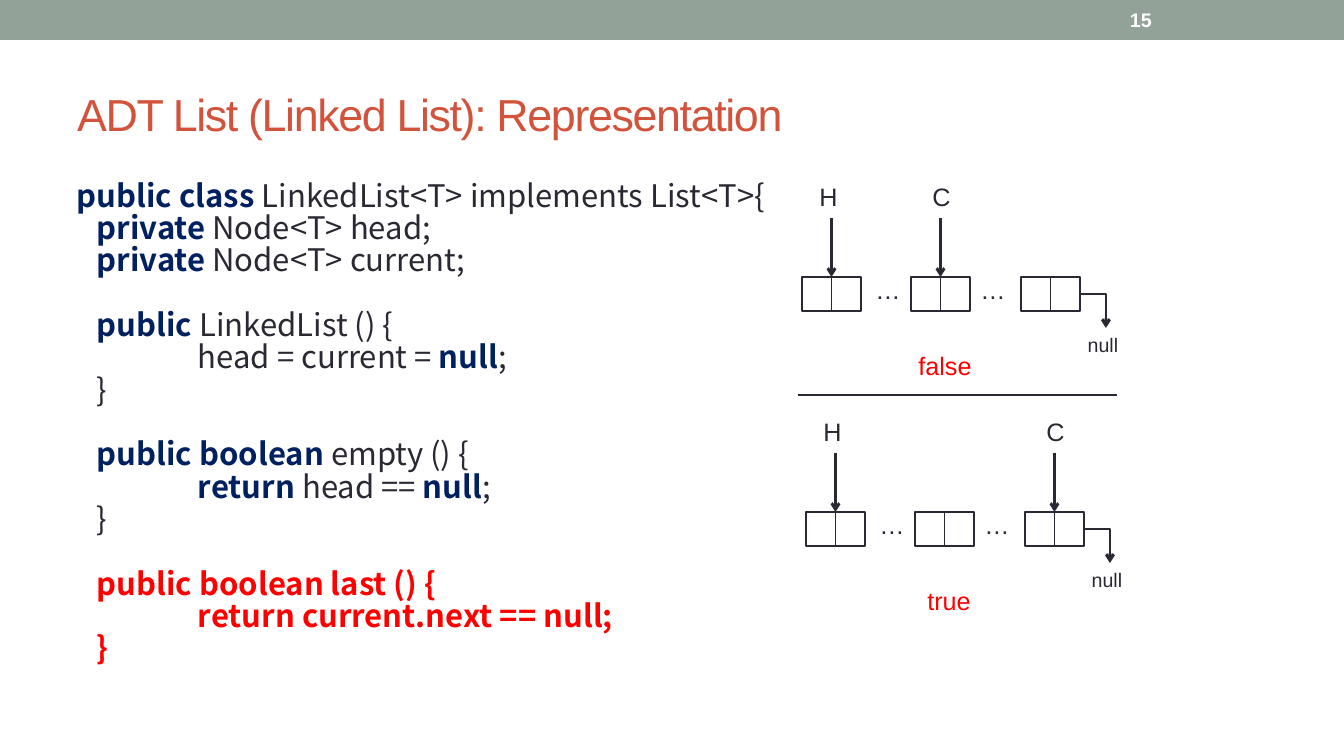
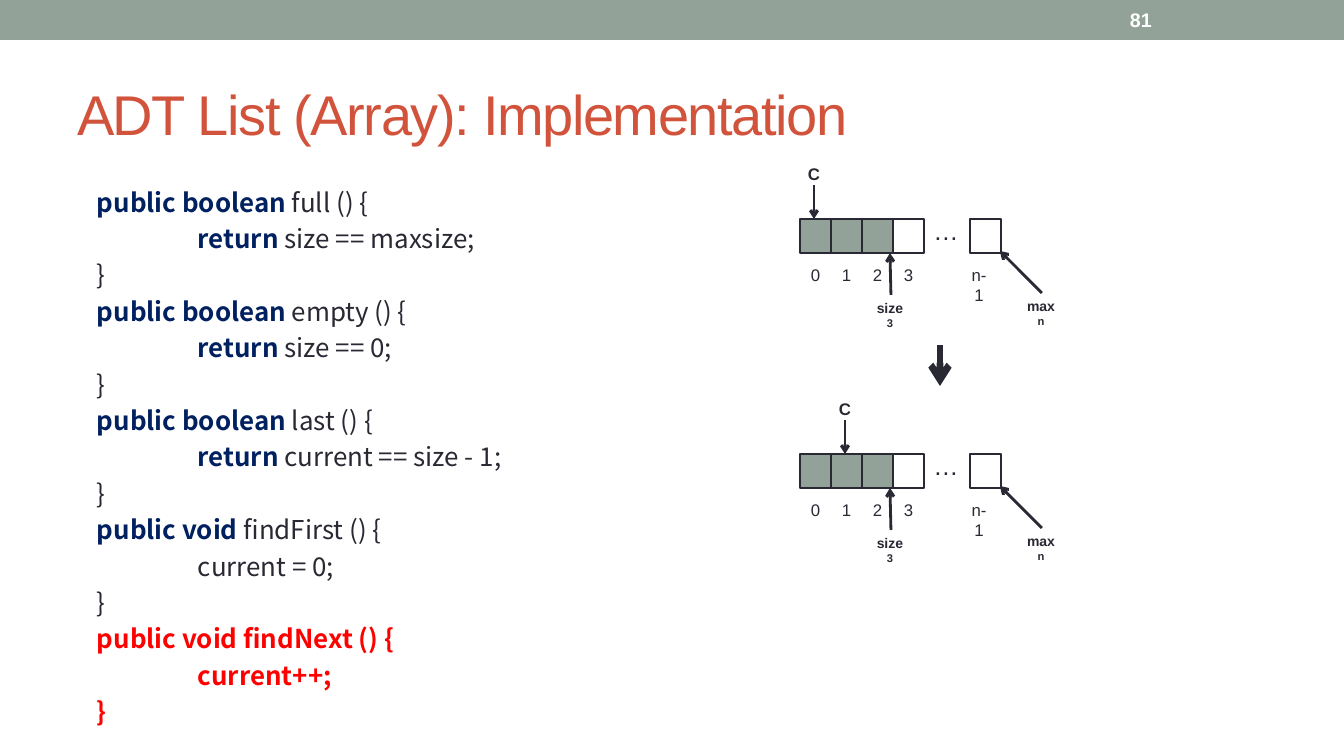
"""Builds two lecture slides on the List ADT: code beside memory diagrams."""
from lxml.etree import SubElement
from pptx import Presentation
from pptx.dml.color import RGBColor as RGB
from pptx.enum.shapes import MSO_CONNECTOR as LINK, MSO_SHAPE as SHAPE
from pptx.enum.text import MSO_ANCHOR as ANCHOR, PP_ALIGN as ALIGN
from pptx.oxml.ns import qn
from pptx.util import Emu, Pt

SAGE = RGB(0x93, 0xA2, 0x99)
RUST = RGB(0xD2, 0x53, 0x3C)
NAVY = RGB(0x00, 0x20, 0x60)
INK = RGB(0x29, 0x29, 0x34)
RED = RGB(0xFF, 0x00, 0x00)
WHITE = RGB(0xFF, 0xFF, 0xFF)
SANS, CODE = "Arial", "Noto Sans CJK SC"
WIDE, HIGH = 1344, 756
INDENT = (0, 20, 121)


def method(head, body):
    """Gives the lines of one method, each with its level."""
    return [(1, head + " () {"), (2, body), (1, "}")]


# Asterisks enclose keywords.
LINKED = [
    [(0, "*public class *LinkedList<T> implements List<T>{"),
     (1, "*private* Node<T> head;"),
     (1, "*private* Node<T> current;")],
    method("*public *LinkedList", "head = current = *null*;"),
    method("*public boolean *empty", "*return *head == *null*;"),
    method("public boolean last", "return current.next == null;"),
]
ARRAY = [
    method("*public boolean *full", "*return* size == maxsize;"),
    method("*public boolean *empty", "*return* size == 0;"),
    method("*public boolean *last", "*return* current == size - 1;"),
    method("*public void *findFirst", "current = 0;"),
    method("public void findNext", "current++;"),
]
CHAINS = [(802, 277, 1, "false"), (806, 512, 2, "true")]
STRIPS = [(219, 0), (454, 1)]
NODES = (0, 109, 219)
NODE_W, CELL_W, BOX_H = 59, 31, 34
FILLED, LAST_X = 3, 970


def px(n):
    return Emu(round(n * 914400 / 100.8))


def place(*box):
    return [px(n) for n in box]


def style(font, size, color, bold=False, name=SANS):
    font.size, font.name, font.bold = Pt(size), name, bold
    font.color.rgb = color


def rect(slide, box, fill, edge=INK):
    shape = slide.shapes.add_shape(SHAPE.RECTANGLE, *place(*box))
    shape.shadow.inherit = False
    shape.fill.solid()
    shape.fill.fore_color.rgb = fill
    if edge is None:
        shape.line.fill.background()
    else:
        shape.line.color.rgb = edge
        shape.line.width = Pt(1.25)


def line(slide, ends, width=0.75, head=False, bent=False):
    kind = LINK.ELBOW if bent else LINK.STRAIGHT
    link = slide.shapes.add_connector(kind, *place(*ends))
    link.line.color.rgb = INK
    link.line.width = Pt(width)
    props = link._element.spPr
    if bent:
        props.find(qn("a:prstGeom")).set("prst", "bentConnector2")
    if head:
        SubElement(props.find(qn("a:ln")), qn("a:tailEnd"), type="arrow")
    SubElement(props, qn("a:effectLst"))


def arrow(slide, *ends, width=2, bent=False):
    line(slide, ends, width, True, bent)


def label(slide, mid, top, width, rows, color=INK, bold=False):
    """Centres rows of (text, size) on mid."""
    high = 10 + sum(size for _, size in rows) * 1.68
    box = slide.shapes.add_textbox(*place(mid - width / 2, top, width, high))
    frame = box.text_frame
    frame.word_wrap = False
    for i, (text, size) in enumerate(rows):
        para = frame.add_paragraph() if i else frame.paragraphs[0]
        para.text, para.alignment = text, ALIGN.CENTER
        style(para.font, size, color, bold)


def base(deck, title, size, number):
    """Adds a slide with its band, title and number."""
    slide = deck.slides.add_slide(deck.slide_layouts[5])
    rect(slide, (0, 0, WIDE, 40), SAGE, None)
    head = slide.shapes.title
    head.left, head.top, head.width, head.height = place(67, 59, 1210, 109)
    page = slide.shapes.add_textbox(*place(1120, 2, 157, 36))
    for shape, text in ((head, title), (page, number)):
        frame = shape.text_frame
        frame.word_wrap, frame.vertical_anchor = True, ANCHOR.MIDDLE
        frame.text = text
        frame.paragraphs[0].alignment = ALIGN.LEFT
    para = head.text_frame.paragraphs[0]
    style(para.font, size, RUST)
    para.runs[0]._r.get_or_add_rPr().set("spc", "-100")
    style(page.text_frame.paragraphs[0].font, 14, WHITE, True)
    return slide


def code(slide, blocks, size, pitch, gap=0):
    """Writes blocks of code; the last one is new and red."""
    box = slide.shapes.add_textbox(*place(67, 176, 1210, 538))
    frame = box.text_frame
    frame.word_wrap = True
    para = frame.paragraphs[0]
    for b, block in enumerate(blocks):
        new = b == len(blocks) - 1
        for i, (level, text) in enumerate(block):
            if b or i:
                para = frame.add_paragraph()
            para.line_spacing = Pt(pitch)
            para.space_before = Pt(gap if b and not i else 0)
            para._p.get_or_add_pPr().set("marL", str(px(INDENT[level])))
            style(para.font, size, RED if new else INK, new, CODE)
            for k, part in enumerate(text.split("*")):
                if part:
                    run = para.add_run()
                    run.text = part
                    if k % 2:
                        run.font.bold = True
                        run.font.color.rgb = NAVY


def chain(slide, x, y, current, answer):
    half = NODE_W / 2
    for dx in NODES:
        rect(slide, (x + dx, y, NODE_W, BOX_H), WHITE)
        mid = x + dx + half
        line(slide, (mid, y, mid, y + BOX_H))
    for name, node, shift in (("H", 0, -3), ("C", current, 1)):
        mid = x + NODES[node] + half
        arrow(slide, mid, y - 59, mid, y)
        label(slide, mid + shift, y - 101, 39, [(name, 18)])
    for dx in (86, 191):
        label(slide, x + dx, y - 8, 45, [("…", 18)])
    arrow(slide, x + 279, y + 17, x + 304, y + 51, bent=True)
    label(slide, x + 301, y + 51, 51, [("null", 14)])
    label(slide, x + 143, y + 68, 74, [(answer, 18)], RED)


def strip(slide, y, current):
    x = 800
    for i in range(FILLED + 1):
        left = x + i * CELL_W
        rect(slide, (left, y, CELL_W, BOX_H), SAGE if i < FILLED else WHITE)
        label(slide, left + CELL_W / 2, y + 41, 29, [(str(i), 12)])
    rect(slide, (LAST_X, y, CELL_W, BOX_H), WHITE)
    label(slide, 979, y + 41, 44, [("n-1", 12)])
    label(slide, 946, y - 9, 45, [("…", 18)])
    mid = x + current * CELL_W + 14
    arrow(slide, mid, y - 34, mid, y)
    label(slide, mid, y - 60, 32, [("C", 12)], bold=True)
    arrow(slide, 891, y + 76, 890, y + BOX_H)
    label(slide, 890, y + 76, 47, [("size", 10), ("3", 8)], bold=True)
    arrow(slide, 1042, y + 74, 1000, y + 32)
    label(slide, 1041, y + 74, 50, [("max", 10), ("n", 8)], bold=True)


deck = Presentation()
deck.slide_width, deck.slide_height = place(WIDE, HIGH)

slide = base(deck, "ADT List (Linked List): Representation", 32, "15")
code(slide, LINKED, 22.2, 23.1, 23.1)
for item in CHAINS:
    chain(slide, *item)
line(slide, (798, 395, 1117, 395))

slide = base(deck, "ADT List (Array): Implementation", 40, "81")
code(slide, ARRAY, 18.5, 26)
for item in STRIPS:
    strip(slide, *item)
arrow(slide, 940, 345, 940, 386, width=4.75)

deck.save("out.pptx")
